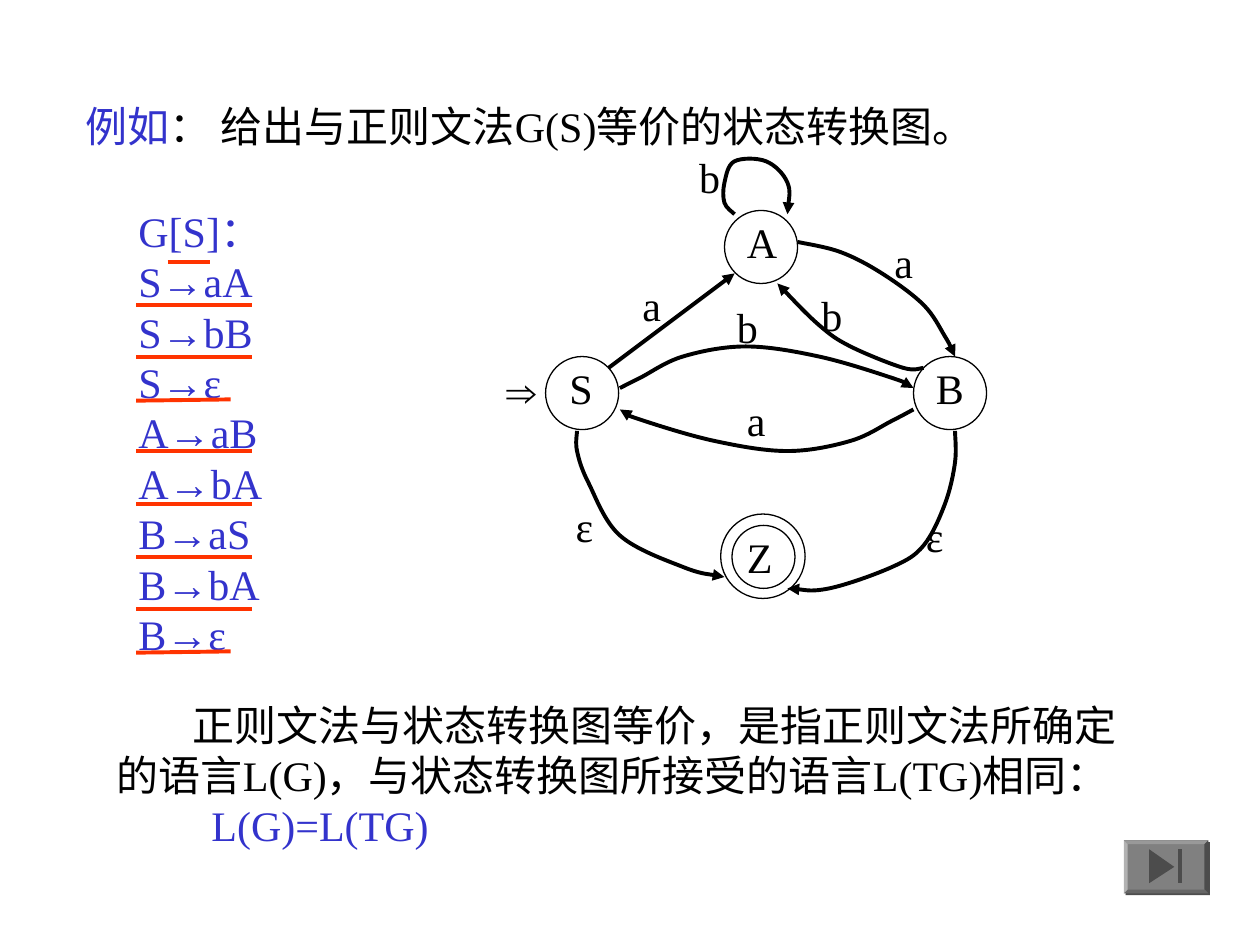
"""Build a slide that turns a regular grammar into its state transition diagram."""
import pptx
import pptx.dml.color
import pptx.enum.shapes
import pptx.enum.text
import pptx.oxml
import pptx.oxml.ns
import pptx.util
from pptx.oxml.ns import qn
from pptx.util import Inches

COLORS = {"ink": "000000", "blue": "3333CC", "red": "FF3300", "button": "808080", "shade": "4D4D4D"}
STRAIGHT = pptx.enum.shapes.MSO_CONNECTOR.STRAIGHT
DRAWING_NS = pptx.oxml.ns.nsdecls("a")

deck = pptx.Presentation()
deck.slide_width, deck.slide_height = Inches(10), Inches(7.5)
slide = deck.slides.add_slide(deck.slide_layouts[6])


def add_text(text, box=None, paragraph=None, color="ink", font="Times New Roman", bold=False, indent=0):
    if paragraph is None:
        frame = slide.shapes.add_textbox(*map(Inches, box)).text_frame
        frame.word_wrap = True
        frame.auto_size = pptx.enum.text.MSO_AUTO_SIZE.SHAPE_TO_FIT_TEXT
        paragraph = frame.paragraphs[0]
    if indent:
        paragraph._p.get_or_add_pPr().set("indent", str(Inches(indent)))
    for number, line in enumerate(text.split("\n")):
        if number:
            paragraph.add_line_break()
        run = paragraph.add_run()
        run.text = line
        run.font.size = pptx.util.Pt(24)
        run.font.name = font
        run.font.bold = bold
        run.font.color.rgb = pptx.dml.color.RGBColor.from_string(COLORS[color])
    return paragraph


def style_line(shape, color="ink", width=2.25, arrow=False):
    shape.line.width = pptx.util.Pt(width)
    shape.line.color.rgb = pptx.dml.color.RGBColor.from_string(COLORS[color])
    properties = shape._element.spPr
    if arrow:
        tail = pptx.oxml.parse_xml(f'<a:tailEnd {DRAWING_NS} type="triangle"/>')
        properties.find(qn("a:ln")).append(tail)
    properties.append(pptx.oxml.parse_xml(f"<a:effectLst {DRAWING_NS}/>"))


heading = add_text("例如", box=(0.58, 0.75, 8, 0.5), color="blue")
add_text("： 给出与正则文法G(S)等价的状态转换图。", paragraph=heading)

productions = ["G[S]：", "S→aA", "S→bB", "S→ε", "A→aB", "A→bA", "B→aS", "B→bA", "B→ε"]
add_text("\n".join(productions), box=(1, 1.58, 1.58, 3.7), color="blue")

states = [
    ("A", 5.75, 1.67, 0.58, 5.83, 1.67),
    ("S", 4.33, 2.83, 0.58, 4.42, 2.83),
    ("B", 7.25, 2.83, 0.58, 7.33, 2.83),
    ("", 5.72, 4.08, 0.67, 0, 0),
    ("Z", 5.81, 4.17, 0.5, 5.83, 4.17),
]
for state, left, top, size, label_left, label_top in states:
    circle = slide.shapes.add_shape(pptx.enum.shapes.MSO_SHAPE.OVAL, *map(Inches, (left, top, size, size)))
    circle.fill.background()
    style_line(circle, width=0.75)
    if state:
        add_text(state, box=(label_left, label_top, 0.92, 0.5))
add_text("⇒", box=(3.92, 2.85, 0.75, 0.5), font="Arial", bold=True)

underlines = [(1.33, 2.08, 1.67, 2.08)]
underlines += [(1.08, y, 2, y) for y in (2.42, 2.83, 3.58, 4, 4.42, 4.83)]
underlines += [(1.08, y, 1.83, y - 0.01) for y in (3.18, 5.18)]
for ends in underlines:
    underline = slide.shapes.add_connector(STRAIGHT, *map(Inches, ends))
    style_line(underline, color="red")

start_to_a = slide.shapes.add_connector(STRAIGHT, *map(Inches, (4.83, 2.92, 5.83, 2.17)))
style_line(start_to_a, arrow=True)
add_text("a", box=(5, 2.17, 0.58, 0.5))

transitions = [
    ("b", 5.75, 2.34, [(4.92, 3.08), (5.08, 3), (5.42, 2.83), (5.92, 2.75), (6.5, 2.83), (7.08, 3), (7.25, 3.08)]),
    ("ε", 4.47, 3.92, [(4.58, 3.42), (4.58, 3.58), (4.67, 3.83), (4.92, 4.25), (5.42, 4.5), (5.75, 4.58)]),
    ("a", 7, 1.83, [(6.33, 1.92), (6.67, 2), (7, 2.17), (7.33, 2.42), (7.5, 2.67), (7.58, 2.83)]),
    ("b", 5.45, 1.15, [(5.83, 1.7), (5.75, 1.61), (5.75, 1.45), (5.83, 1.28), (6.08, 1.28), (6.25, 1.45), (6.25, 1.7)]),
    ("a", 5.83, 3.08, [(7.25, 3.25), (7.08, 3.34), (6.75, 3.5), (6.25, 3.58), (5.67, 3.5), (5.08, 3.33), (4.92, 3.25)]),
    ("b", 6.42, 2.25, [(7.33, 2.92), (7.17, 2.92), (6.75, 2.75), (6.5, 2.58), (6.17, 2.25)]),
    ("ε", 7.25, 4, [(7.58, 3.42), (7.58, 3.67), (7.5, 4), (7.33, 4.33), (7.08, 4.5), (6.58, 4.67), (6.25, 4.67)]),
]
for symbol, label_left, label_top, knots in transitions:
    outline = slide.shapes.build_freeform(*map(Inches, knots[0]))
    outline.add_line_segments([tuple(map(Inches, knot)) for knot in knots[1:]], close=False)
    arc = outline.convert_to_shape()
    local = [(Inches(x) - arc.left, Inches(y) - arc.top) for x, y in knots]
    padded = [local[0], *local, local[-1]]
    segments = list(arc._element.iter(qn("a:lnTo")))
    for segment, before, start, end, after in zip(segments, padded, padded[1:], padded[2:], padded[3:]):
        leaving = [s + (e - b) / 6 for b, s, e in zip(before, start, end)]
        arriving = [e - (a - s) / 6 for s, e, a in zip(start, end, after)]
        points = "".join(f'<a:pt x="{round(x)}" y="{round(y)}"/>' for x, y in (leaving, arriving, end))
        bend = pptx.oxml.parse_xml(f"<a:cubicBezTo {DRAWING_NS}>{points}</a:cubicBezTo>")
        segment.getparent().replace(segment, bend)
    arc.fill.background()
    style_line(arc, arrow=True)
    add_text(symbol, box=(label_left, label_top, 0.83, 0.5))

conclusion = add_text(
    "正则文法与状态转换图等价，是指正则文法所确定的语言L(G)，与状态转换图所接受的语言L(TG)相同：",
    box=(0.83, 5.5, 8.42, 1.3), indent=0.6,
)
equality = conclusion._parent.add_paragraph()
add_text("L(G)=L(TG)", paragraph=equality, color="blue", indent=0.75)

button_faces = [
    ("norm", [(0, 0), (67, 0), (67, 42), (0, 42)]),
    ("lightenLess", [(0, 0), (67, 0), (64, 3), (3, 3)]),
    ("darken", [(67, 0), (67, 42), (64, 39), (64, 3)]),
    ("darkenLess", [(67, 42), (0, 42), (3, 39), (64, 39)]),
    ("lighten", [(0, 42), (0, 0), (3, 3), (3, 39)]),
    ("darken", [(40, 21), (20, 34), (20, 7)]),
    ("darken", [(43, 7), (43, 34), (46, 34), (46, 7)]),
]
plate = slide.shapes.build_freeform(0, 0, scale=Inches(0.01))
plate.add_line_segments(button_faces[0][1][1:])
end_button = plate.convert_to_shape(Inches(8.92), Inches(6.67))
face_list = end_button._element.spPr.find(".//" + qn("a:pathLst"))
face_list.clear()
for shading, corners in button_faces:
    points = [f'<a:pt x="{x}" y="{y}"/>' for x, y in corners]
    sides = "".join(f"<a:lnTo>{point}</a:lnTo>" for point in points[1:])
    face_list.append(pptx.oxml.parse_xml(
        f'<a:path {DRAWING_NS} w="67" h="42" fill="{shading}" stroke="0">'
        f"<a:moveTo>{points[0]}</a:moveTo>{sides}<a:close/></a:path>"
    ))
end_button.fill.solid()
end_button.fill.fore_color.rgb = pptx.dml.color.RGBColor.from_string(COLORS["button"])
end_button.line.fill.background()
end_button.shadow.inherit = False
end_button._element.spPr.find(qn("a:effectLst")).append(pptx.oxml.parse_xml(
    f'<a:outerShdw {DRAWING_NS} dist="{pptx.util.Pt(1.4)}" dir="2700000">'
    f'<a:srgbClr val="{COLORS["shade"]}"/></a:outerShdw>'
))

deck.save("out.pptx")
